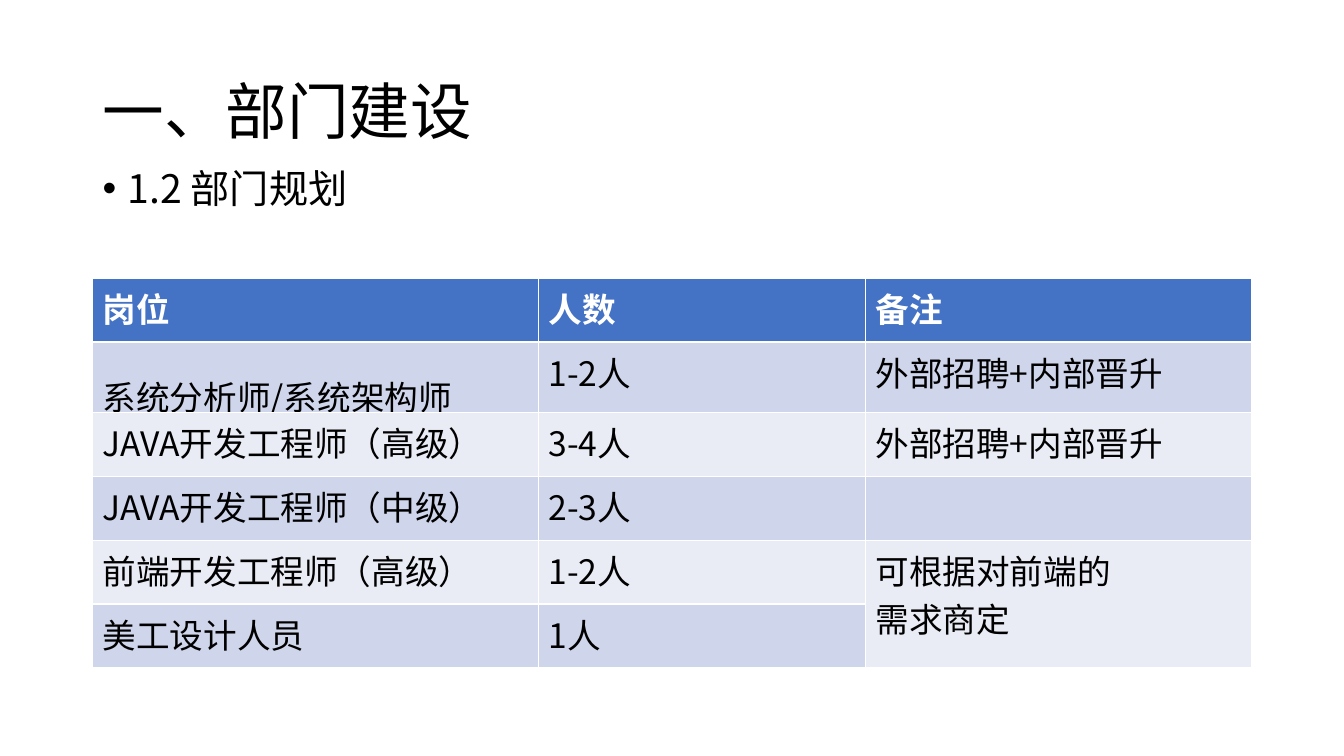
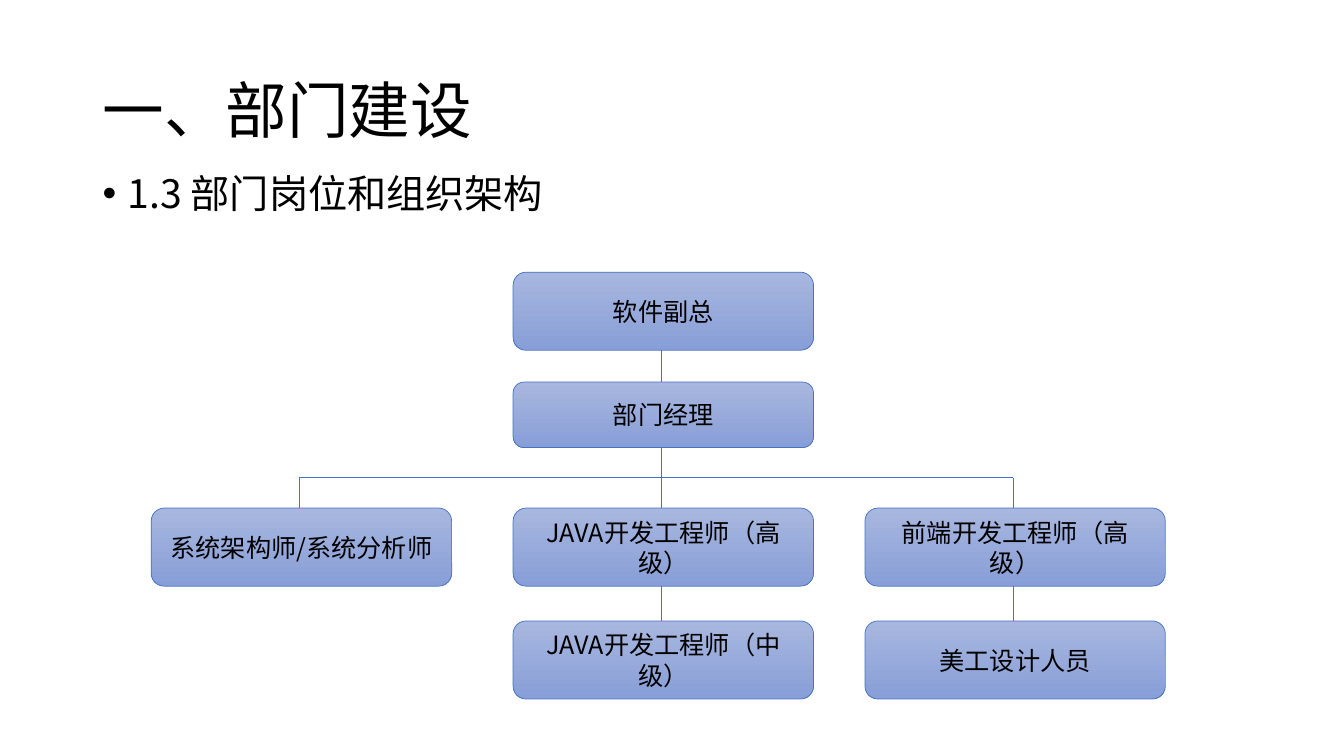
from lxml.etree import SubElement
from pptx import Presentation
from pptx.dml.color import RGBColor
from pptx.enum.shapes import MSO_CONNECTOR, MSO_SHAPE
from pptx.enum.text import MSO_ANCHOR, PP_ALIGN
from pptx.oxml.ns import qn
from pptx.util import Pt

FONT = "Noto Sans CJK SC"
BLACK, WHITE, BLUE = "000000", "FFFFFF", "4472C4"
BANDS = ["CFD5EA", "E9EBF5"]
LEFT, WIDTH = 66.2, 828


def rgb(color):
    return RGBColor.from_string(color)


def add_run(p, text, size, color=BLACK, bold=False):
    r = p.add_run()
    r.text = text
    r.font.size = Pt(size)
    r.font.name = FONT
    r.font.bold = bold
    r.font.color.rgb = rgb(color)
    SubElement(r.font._element, qn("a:ea"), typeface=FONT)


prs = Presentation()
prs.slide_width, prs.slide_height = Pt(960), Pt(540)

headings = [
    ("1.2 部门规划", 13, 1.5, 117.4, 54.7),
    ("1.3 部门岗位和组织架构", 28.8, 0.9, 121, 365),
]
slides = []
for heading, title_top, title_spacing, body_top, body_height in headings:
    s = prs.slides.add_slide(prs.slide_layouts[6])
    slides.append(s)
    tf = s.shapes.add_textbox(Pt(LEFT), Pt(title_top), Pt(WIDTH), Pt(104.4)).text_frame
    tf.word_wrap = True
    tf.vertical_anchor = MSO_ANCHOR.MIDDLE
    p = tf.paragraphs[0]
    p.line_spacing = title_spacing
    add_run(p, "一、部门建设", 44)

    tf = s.shapes.add_textbox(Pt(LEFT), Pt(body_top), Pt(WIDTH), Pt(body_height)).text_frame
    tf.word_wrap = True
    p = tf.paragraphs[0]
    p.line_spacing = 0.9
    p.space_before = Pt(10)
    pPr = p._p.get_or_add_pPr()
    pPr.set("marL", str(Pt(18)))
    pPr.set("indent", str(-Pt(18)))
    SubElement(pPr, qn("a:buFont"), typeface="Arial")
    SubElement(pPr, qn("a:buChar"), char="•")
    add_run(p, heading, 28)

plan, chart = slides

rows = [
    ("岗位", "人数", "备注"),
    ("系统分析师/系统架构师", "1-2人", "外部招聘+内部晋升"),
    ("JAVA开发工程师（高级）", "3-4人", "外部招聘+内部晋升"),
    ("JAVA开发工程师（中级）", "2-3人", ""),
    ("前端开发工程师（高级）", "1-2人", "可根据对前端的\n需求商定"),
    ("美工设计人员", "1人", ""),
]
table = plan.shapes.add_table(len(rows), 3, Pt(LEFT), Pt(198.7), Pt(WIDTH), Pt(278.4)).table
for col, width in zip(table.columns, (318.4, 233.6, 276)):
    col.width = Pt(width)
for i, row in enumerate(rows):
    table.rows[i].height = Pt(50.4 if i == 1 else 45.6)
    for j, text in enumerate(row):
        cell = table.cell(i, j)
        cell.fill.solid()
        cell.fill.fore_color.rgb = rgb(BANDS[(i - 1) % 2] if i else BLUE)
        tf = cell.text_frame
        for k, line in enumerate(text.split("\n")):
            p = tf.add_paragraph() if k else tf.paragraphs[0]
            if line:
                add_run(p, line, 24, BLACK if i else WHITE, i == 0)
table.cell(1, 0).text_frame.paragraphs[0].line_spacing = 1.5
table.cell(4, 2).merge(table.cell(5, 2))

BOX_W, BOX_H, MANAGER_H = 214.6, 55.8, 46.8
COLS = [108, 366.5, 617.8]
TOPS = [194.4, 272.9, 362.9, 443.5]
boxes = [
    ("软件副总", 1, 0),
    ("部门经理", 1, 1),
    ("系统架构师/系统分析师", 0, 2),
    ("JAVA开发工程师（高级）", 1, 2),
    ("JAVA开发工程师（中级）", 1, 3),
    ("前端开发工程师（高级）", 2, 2),
    ("美工设计人员", 2, 3),
]
for text, col, level in boxes:
    height = MANAGER_H if level == 1 else BOX_H
    sp = chart.shapes.add_shape(MSO_SHAPE.ROUNDED_RECTANGLE, Pt(COLS[col]), Pt(TOPS[level]),
                                Pt(BOX_W), Pt(height))
    sp.shadow.inherit = False
    sp.fill.gradient()
    sp.fill.gradient_angle = 270
    for stop, color in zip(sp.fill.gradient_stops, ("A8B7DF", "889ED7")):
        stop.color.rgb = rgb(color)
    sp.line.color.rgb = rgb(BLUE)
    sp.line.width = Pt(0.5)
    tf = sp.text_frame
    tf.word_wrap = True
    tf.vertical_anchor = MSO_ANCHOR.MIDDLE
    p = tf.paragraphs[0]
    p.alignment = PP_ALIGN.CENTER
    add_run(p, text, 18)

axes = [left + 105.8 for left in COLS]
manager_bottom = TOPS[1] + MANAGER_H
bus = (manager_bottom + TOPS[2]) / 2
lines = [
    (axes[1], TOPS[0] + BOX_H, axes[1], TOPS[1]),
    (axes[1], manager_bottom, axes[1], bus),
    (axes[0], bus, axes[2], bus),
]
lines += [(x, bus, x, TOPS[2]) for x in axes]
lines += [(x, TOPS[2] + BOX_H, x, TOPS[3]) for x in axes[1:]]
for ends in lines:
    line = chart.shapes.add_connector(MSO_CONNECTOR.STRAIGHT, *[Pt(v) for v in ends])
    line.line.color.rgb = rgb(BLUE)
    line.line.width = Pt(0.5)
    SubElement(line._element.spPr, qn("a:effectLst"))

prs.save("out.pptx")
